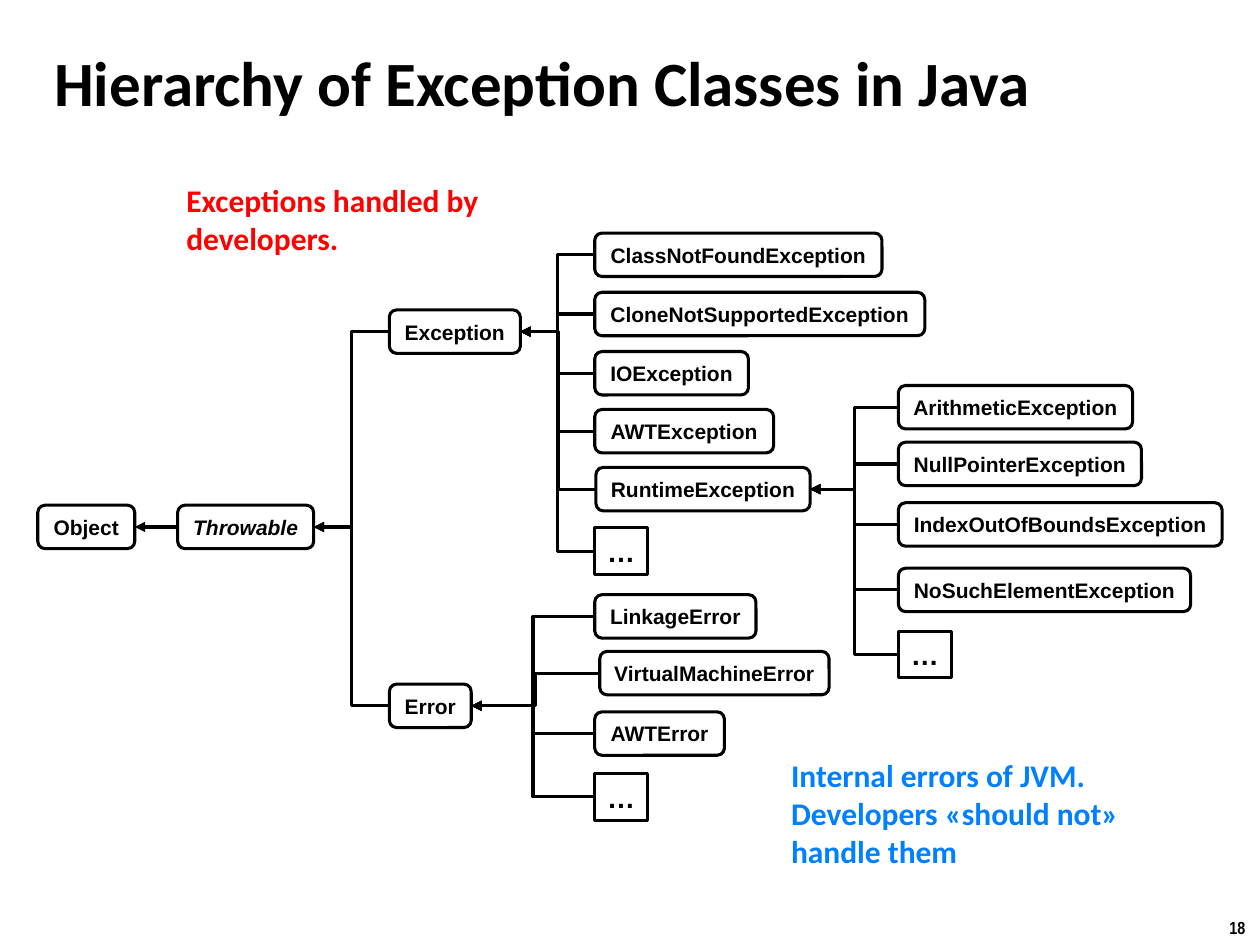
from pptx import Presentation, util as u
from pptx.dml import color
from pptx.enum import shapes, text
from pptx.oxml import ns, xmlchemy

presentation = Presentation()
presentation.slide_width = u.Inches(10)
presentation.slide_height = u.Inches(7.5)
slide = presentation.slides.add_slide(presentation.slide_layouts[6])
column = presentation.slide_width / 100
row = presentation.slide_height / 75


def paint(target, value):
    target.rgb = color.RGBColor.from_string(value)


def write(shape, words, font, size, ink, wrap=True, italic=None):
    frame = shape.text_frame
    frame.word_wrap = wrap
    frame.auto_size = text.MSO_AUTO_SIZE.SHAPE_TO_FIT_TEXT
    run = frame.paragraphs[0].add_run()
    run.text = words
    run.font.name = font
    run.font.size = u.Pt(size)
    run.font.bold = True
    run.font.italic = italic
    paint(run.font.color, ink)
    return frame


labels = [
    ("Exceptions handled by developers.", 13.8, 13.9, 34.1, 7.1, "Calibri", 18, "FF0000", True),
    ("Internal errors of JVM. Developers «should not» handle them",
     61.8, 59.5, 34.1, 10.1, "Calibri", 18, "0080FF", True),
    ("18", 96.6, 72.3, 3.4, 2.7, "Arial Narrow", 10, "000000", False),
]
for words, left, top, width, height, font, size, ink, wrap in labels:
    label = slide.shapes.add_textbox(
        int(left * column), int(top * row), int(width * column), int(height * row))
    write(label, words, font, size, ink, wrap)

title = slide.shapes.add_textbox(
    int(3.9 * column), int(0.5 * row), int(90.8 * column), int(11.9 * row))
title_frame = write(title, "Hierarchy of Exception Classes in Java", "Calibri", 36, "000000")
title_frame.auto_size = text.MSO_AUTO_SIZE.NONE
title_frame.vertical_anchor = text.MSO_ANCHOR.MIDDLE
title_frame.margin_left = title_frame.margin_right = u.Inches(0.04)
title_frame.margin_top = title_frame.margin_bottom = u.Inches(0.04)

classes = [
    ("Object", None, 3, 40.1, 7.7, True),
    ("Throwable", "Object", 14.1, 40.1, 10.8, True),
    ("Exception", "Throwable", 30.9, 24.6, 10.4, True),
    ("Error", "Throwable", 30.9, 54.3, 6.5, False),
    ("ClassNotFoundException", "Exception", 47.2, 18.5, 22.8, True),
    ("CloneNotSupportedException", "Exception", 47.2, 23.2, 26.2, True),
    ("IOException", "Exception", 47.2, 27.9, 12.2, True),
    ("AWTException", "Exception", 47.2, 32.5, 14.2, True),
    ("RuntimeException", "Exception", 47.3, 37.1, 17, True),
    ("…", "Exception", 47.2, 41.9, 4.2, False),
    ("LinkageError", "Error", 47.2, 47.2, 12.8, False),
    ("VirtualMachineError", "Error", 47.6, 51.7, 18.2, False),
    ("AWTError", "Error", 47.2, 56.5, 10.3, False),
    ("…", "Error", 47.2, 61.4, 4.2, False),
    ("ArithmeticException", "RuntimeException", 71.3, 30.6, 18.6, True),
    ("NullPointerException", "RuntimeException", 71.3, 35.1, 19.3, False),
    ("IndexOutOfBoundsException", "RuntimeException", 71.3, 39.9, 25.7, False),
    ("NoSuchElementException", "RuntimeException", 71.3, 45.1, 23.2, False),
    ("…", "RuntimeException", 71.3, 50.1, 4.2, False),
]
boxes = {}
for name, parent, left, top, width, filled in classes:
    more = name == "…"
    outline = shapes.MSO_SHAPE.RECTANGLE if more else shapes.MSO_SHAPE.ROUNDED_RECTANGLE
    box = slide.shapes.add_shape(
        outline, int(left * column), int(top * row),
        int(width * column), int((3.7 if more else 3.45) * row))
    box.shadow.inherit = False
    if filled:
        box.fill.solid()
        paint(box.fill.fore_color, "FFFFFF")
    else:
        box.fill.background()
    paint(box.line.color, "000000")
    box.line.width = u.Pt(1.75)
    frame = write(box, name, "Arial", 16 if more else 12, "000000", False,
                  name == "Throwable" or None)
    frame.paragraphs[0].alignment = text.PP_ALIGN.CENTER
    boxes[name] = box

    if parent:
        kind = shapes.MSO_CONNECTOR.STRAIGHT if parent == "Object" else shapes.MSO_CONNECTOR.ELBOW
        link = slide.shapes.add_connector(kind, 0, 0, 0, 0)
        link.begin_connect(box, 1)
        link.end_connect(boxes[parent], 3)
        paint(link.line.color, "000000")
        link.line.width = u.Pt(1.75)
        arrow = xmlchemy.OxmlElement("a:tailEnd")
        arrow.set("type", "triangle")
        link.line._get_or_add_ln().append(arrow)
        properties = link._element.find(ns.qn("p:spPr"))
        properties.append(xmlchemy.OxmlElement("a:effectLst"))

presentation.save("out.pptx")
